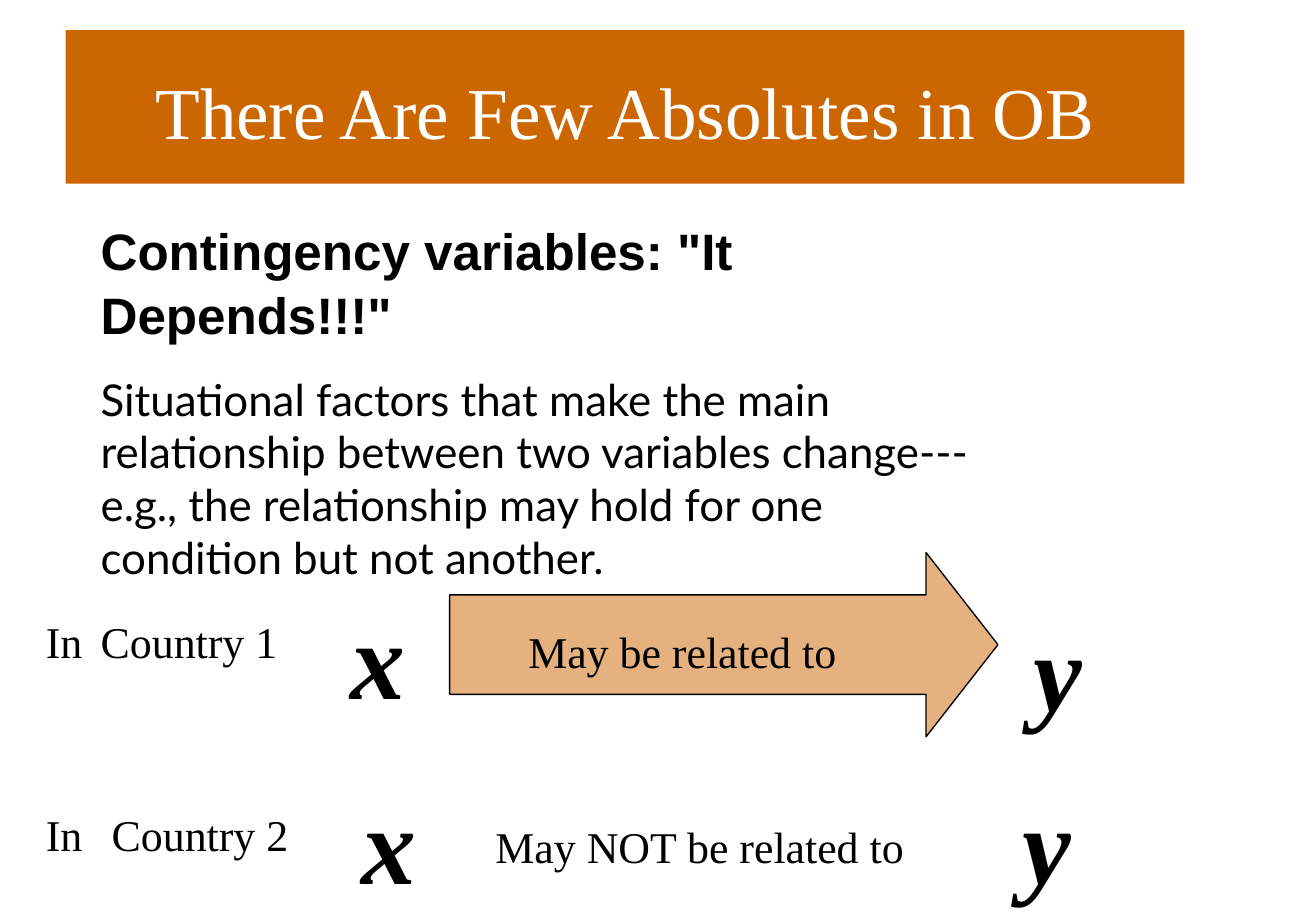
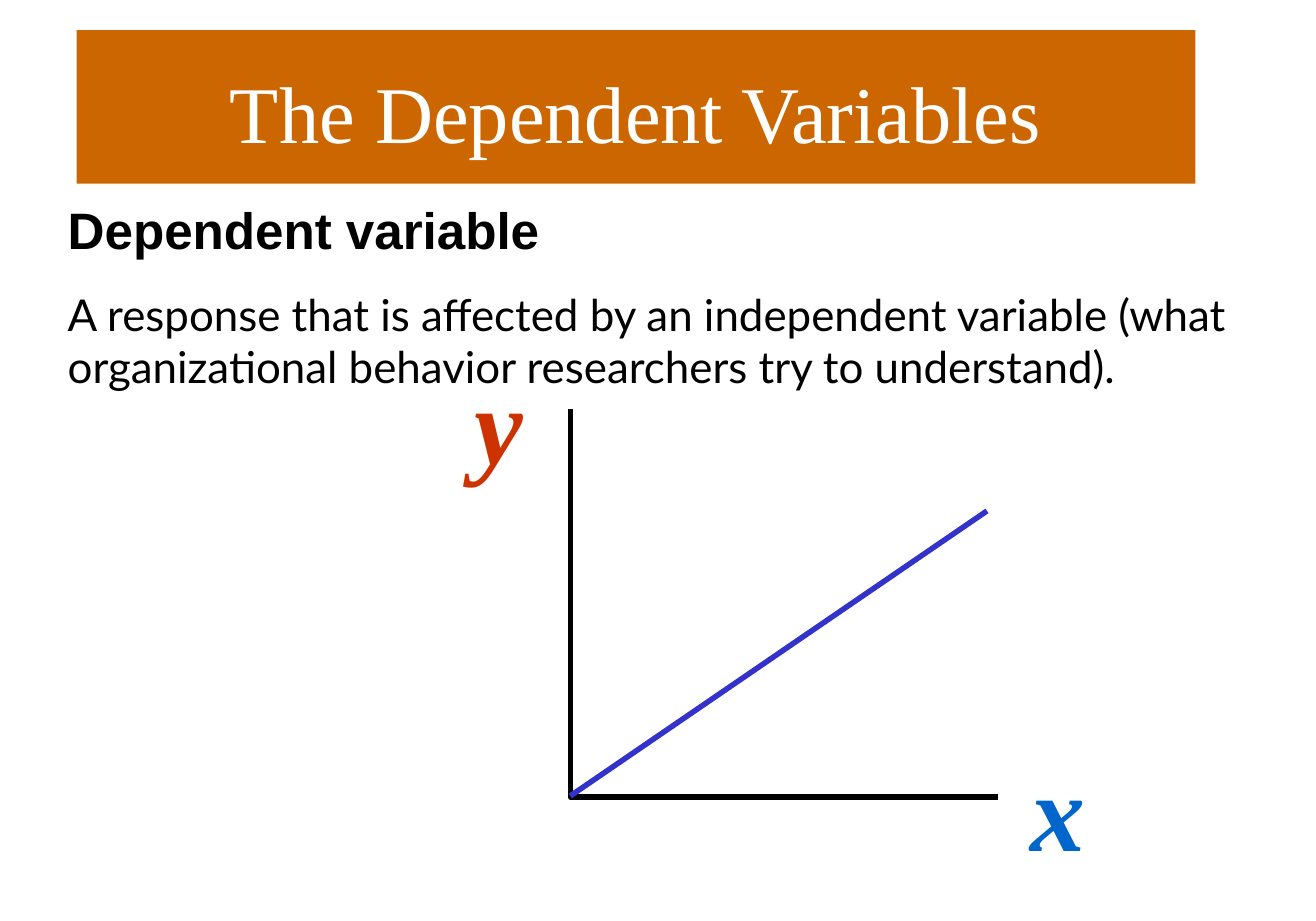
from lxml import etree
from pptx import Presentation, util as u
from pptx.dml.color import RGBColor
from pptx.enum import shapes, text
from pptx.oxml.ns import qn

COLORS = {
    "band": "CC6600",
    "white": "FFFFFF",
    "black": "000000",
    "x_blue": "0066CC",
    "y_red": "CC3300",
    "trend": "3333CC",
}
SERIF, SANS, BODY = "Times New Roman", "Arial", "Lato"
LABEL_SIZE, SYMBOL_SIZE = 24, 60

WIDTH, HEIGHT = u.Inches(10), u.Inches(7)
CELL = WIDTH / 120  # the grid has 120 columns and 84 rows
LABEL_ROWS, SYMBOL_COLS, SYMBOL_ROWS = 6, 11, 13.2


def grid(*cells):
    """Turn grid columns and rows into slide lengths."""
    return [round(c * CELL) for c in cells]


def rgb(name):
    return RGBColor.from_string(COLORS[name])


def set_line(s, color, width):
    s.line.color.rgb = rgb(color)
    s.line.width = u.Pt(width)


def prepare(tf, size):
    """Wrap the text and lower its first line in proportion to its size."""
    tf.word_wrap = True
    tf.margin_top = u.Inches(0.05) + u.Pt(0.1 * size)


def write(p, words, size, font=SERIF, color="black", bold=False, italic=False):
    r = p.add_run()
    r.text = words
    r.font.name = font
    r.font.size = u.Pt(size)
    r.font.bold = bold
    r.font.italic = italic
    r.font.color.rgb = rgb(color)


def add_title(slide, words, col, size):
    s = slide.shapes.add_shape(shapes.MSO_SHAPE.RECTANGLE, *grid(col, 2.75, 102, 14))
    s.shadow.inherit = False
    s.fill.solid()
    s.fill.fore_color.rgb = rgb("band")
    s.line.fill.background()
    tf = s.text_frame
    prepare(tf, size)
    tf.vertical_anchor = text.MSO_ANCHOR.MIDDLE
    p = tf.paragraphs[0]
    p.alignment = text.PP_ALIGN.CENTER
    write(p, words, size, color="white")


def add_definition(slide, box, term, meaning):
    tf = slide.shapes.add_textbox(*grid(*box)).text_frame
    prepare(tf, 28)
    p = tf.paragraphs[0]
    p.line_spacing = 1.04
    write(p, term, 28, SANS, bold=True)
    p = tf.add_paragraph()
    p.space_before = u.Pt(15)
    write(p, meaning, 24, BODY)


def add_label(slide, words, col, row, cols):
    tf = slide.shapes.add_textbox(*grid(col, row, cols, LABEL_ROWS)).text_frame
    prepare(tf, LABEL_SIZE)
    write(tf.paragraphs[0], words, LABEL_SIZE)


def add_symbol(slide, letter, col, row, color="black"):
    """Add a large variable name such as x or y."""
    tf = slide.shapes.add_textbox(*grid(col, row, SYMBOL_COLS, SYMBOL_ROWS)).text_frame
    prepare(tf, SYMBOL_SIZE)
    p = tf.paragraphs[0]
    p.alignment = text.PP_ALIGN.CENTER
    write(p, letter, SYMBOL_SIZE, color=color, bold=True, italic=True)


def add_block_arrow(slide, box):
    s = slide.shapes.add_shape(shapes.MSO_SHAPE.RIGHT_ARROW, *grid(*box))
    s.shadow.inherit = False
    s.adjustments[0], s.adjustments[1] = 0.54, 0.39
    s.fill.solid()
    s.fill.fore_color.rgb = rgb("band")
    fill = s.fill._xPr.find(qn("a:solidFill"))
    etree.SubElement(fill[0], qn("a:alpha"), val="50000")
    set_line(s, "black", 0.75)


def add_axes(slide, top, corner, end):
    start, *rest = [grid(*point) for point in (top, corner, end)]
    builder = slide.shapes.build_freeform(*start)
    builder.add_line_segments(rest, close=False)
    s = builder.convert_to_shape()
    s.shadow.inherit = False
    s.fill.background()
    set_line(s, "black", 3)


def add_trend(slide, start, end):
    s = slide.shapes.add_connector(
        shapes.MSO_CONNECTOR.STRAIGHT, *grid(*start), *grid(*end))
    set_line(s, "trend", 3)
    etree.SubElement(s._element.spPr, qn("a:effectLst"))


def build_contingency(slide):
    add_block_arrow(slide, (41, 50.4, 50, 16.8))
    add_title(slide, "There Are Few Absolutes in OB", 6, 40)
    add_definition(
        slide, (8, 18.75, 85, 34),
        'Contingency variables: "It Depends!!!"',
        "Situational factors that make the main relationship between two "
        "variables change---e.g., the relationship may hold for one "
        "condition but not another.")
    for letter, col, row in (("x", 29, 52.2), ("y", 91, 53.25),
                             ("x", 30, 69.1), ("y", 90, 69.1)):
        add_symbol(slide, letter, col, row)
    for words, col, row, cols in (
            ("In", 3, 55.1, 12), ("Country 1", 8, 55.1, 20),
            ("May be related to", 47, 56, 37),
            ("In", 3, 72.7, 12), ("Country 2", 9, 72.7, 20),
            ("May NOT be related to", 44, 73.8, 44)):
        add_label(slide, words, col, row, cols)


def build_dependent(slide):
    add_title(slide, "The Dependent Variables", 7, 44)
    add_axes(slide, (52, 37.3), (52, 72.7), (91, 72.7))
    add_symbol(slide, "x", 91, 66.1, "x_blue")
    add_symbol(slide, "y", 40, 30.75, "y_red")
    add_trend(slide, (52, 72.6), (90, 46.6))
    add_definition(
        slide, (5, 16.8, 110.4, 23.8),
        "Dependent variable",
        "A response that is affected by an independent variable (what "
        "organizational behavior researchers try to understand).")


def main():
    prs = Presentation()
    prs.slide_width, prs.slide_height = WIDTH, HEIGHT
    for build in (build_contingency, build_dependent):
        build(prs.slides.add_slide(prs.slide_layouts[6]))
    prs.save("out.pptx")


if __name__ == "__main__":
    main()
